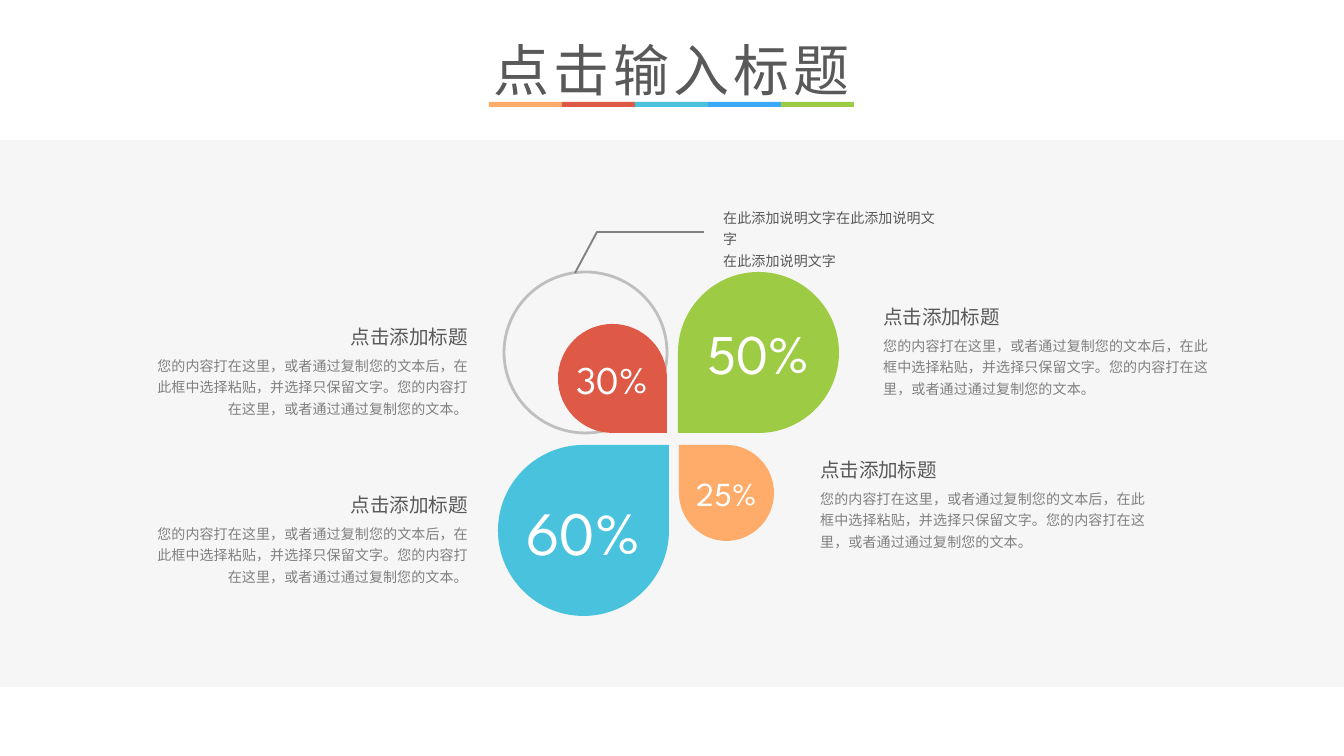
from dataclasses import dataclass

from lxml.etree import SubElement
from pptx import Presentation
from pptx.dml.color import RGBColor
from pptx.enum.shapes import MSO_SHAPE
from pptx.enum.text import MSO_ANCHOR, MSO_AUTO_SIZE, PP_ALIGN
from pptx.oxml.ns import qn
from pptx.util import Emu, Pt

PIXEL = 914400 / 134.4
ARC_HANDLE = 0.55
COLORS = {
    "orange": "FFAC6A", "red": "DF5947", "cyan": "49C2DD", "blue": "3BA9F8",
    "green": "9DCB43", "band": "F6F6F6", "ring": "BFBFBF", "gray": "808080",
    "dark": "595959", "white": "FFFFFF",
}
CHINESE = "Noto Sans CJK SC"
HEADING = "点击添加标题"
BODY = ("您的内容打在这里，或者通过复制您的文本后，在此框中选择粘贴，并选择只保留文字。"
        "您的内容打在这里，或者通过通过复制您的文本。")


@dataclass(frozen=True)
class Box:
    """A rectangle in pixels."""
    left: int
    top: int
    width: int
    height: int


@dataclass(frozen=True)
class TextStyle:
    """The look of one block of text."""
    size: float
    color: str
    font: str = CHINESE
    align: PP_ALIGN = PP_ALIGN.LEFT
    line_spacing: float = 1.0
    character_spacing: int = 0


@dataclass(frozen=True)
class Petal:
    """A drop whose corner points right or left (x) and down or up (y)."""
    label: str
    box: Box
    color: str
    size: float
    corner_x: int
    corner_y: int


@dataclass(frozen=True)
class Note:
    """A heading with body text, anchored at its inner edge."""
    edge: int
    top: int
    align: PP_ALIGN
    body_width: int


PETALS = [
    Petal("30%", Box(558, 324, 109, 109), "red", 21, 1, 1),
    Petal("50%", Box(678, 272, 161, 161), "green", 30, -1, 1),
    Petal("25%", Box(679, 445, 95, 96), "orange", 18, -1, -1),
    Petal("60%", Box(498, 445, 171, 171), "cyan", 33, 1, -1),
]
NOTES = [
    Note(807, 446, PP_ALIGN.LEFT, 362),
    Note(481, 313, PP_ALIGN.RIGHT, 343),
    Note(870, 293, PP_ALIGN.LEFT, 362),
    Note(481, 481, PP_ALIGN.RIGHT, 343),
]


def px(value: float) -> Emu:
    """Turn pixels into EMU."""
    return Emu(round(value * PIXEL))


def place(box: Box) -> tuple[Emu, ...]:
    """Give the box as left, top, width and height in EMU."""
    return px(box.left), px(box.top), px(box.width), px(box.height)


def color_of(name: str) -> RGBColor:
    """Look up a named colour."""
    return RGBColor.from_string(COLORS[name])


def paint(shape, fill: str | None = None, line: str | None = None, width: float = 1) -> None:
    """Set fill and outline and drop the shadow."""
    shape.shadow.inherit = False
    if fill:
        shape.fill.solid()
        shape.fill.fore_color.rgb = color_of(fill)
    else:
        shape.fill.background()
    if line:
        shape.line.color.rgb = color_of(line)
        shape.line.width = Pt(width)
    else:
        shape.line.fill.background()


def write(frame, lines: list[str], style: TextStyle) -> None:
    """Fill a text frame with one paragraph for each line."""
    for index, line in enumerate(lines):
        paragraph = frame.add_paragraph() if index else frame.paragraphs[0]
        paragraph.text = line
        paragraph.alignment = style.align
        paragraph.line_spacing = style.line_spacing
        paragraph.font.size = Pt(style.size)
        paragraph.font.color.rgb = color_of(style.color)
        paragraph.font.name = style.font
        properties = paragraph._p.get_or_add_pPr().find(qn("a:defRPr"))
        SubElement(properties, qn("a:ea")).set("typeface", style.font)
        if style.character_spacing:
            properties.set("spc", str(style.character_spacing))


def add_text(slide, box: Box, lines: list[str], style: TextStyle,
             wrap: bool = True, padding: int = 7) -> None:
    """Add a text box that grows with its text."""
    frame = slide.shapes.add_textbox(*place(box)).text_frame
    frame.word_wrap = wrap
    frame.auto_size = MSO_AUTO_SIZE.SHAPE_TO_FIT_TEXT
    frame.margin_top = frame.margin_bottom = px(padding)
    write(frame, lines, style)


def add_path(slide, points: list[tuple[float, float]], close: bool):
    """Add a freeform through pixel points."""
    first, *rest = [(px(x), px(y)) for x, y in points]
    builder = slide.shapes.build_freeform(*first, scale=1.0)
    builder.add_line_segments(rest, close=close)
    return builder.convert_to_shape()


def bend(shape, curve_count: int) -> None:
    """Merge each leading triple of line segments into one cubic curve."""
    segments = list(shape._element.iter(qn("a:lnTo")))
    for index in range(0, 3 * curve_count, 3):
        first, *others = segments[index:index + 3]
        first.tag = qn("a:cubicBezTo")
        for segment in others:
            first.append(segment[0])
            segment.getparent().remove(segment)


def add_petal(slide, petal: Petal) -> None:
    """Add a drop: three quarter arcs and one square corner."""
    box = petal.box
    radius_x, radius_y = box.width / 2, box.height / 2
    handle = ARC_HANDLE
    outline = [
        (0, 1), (-handle, 1), (-1, handle), (-1, 0), (-1, -handle), (-handle, -1),
        (0, -1), (handle, -1), (1, -handle), (1, 0), (1, 1),
    ]
    points = [(box.left + radius_x * (1 + petal.corner_x * x),
               box.top + radius_y * (1 + petal.corner_y * y)) for x, y in outline]
    shape = add_path(slide, points, close=True)
    bend(shape, 3)
    paint(shape, petal.color)
    frame = shape.text_frame
    frame.word_wrap = True
    frame.vertical_anchor = MSO_ANCHOR.MIDDLE
    frame.margin_left = frame.margin_right = px(9)
    frame.margin_top = frame.margin_bottom = px(5)
    write(frame, [petal.label], TextStyle(petal.size, "white", "League Spartan", PP_ALIGN.CENTER))


def add_note(slide, note: Note) -> None:
    """Add a heading and the body text below it."""
    def row(top: int, width: int, height: int) -> Box:
        """Align a row to the note's edge."""
        left = note.edge - width if note.align == PP_ALIGN.RIGHT else note.edge
        return Box(left, top, width, height)

    add_text(slide, row(note.top, 327, 36), [HEADING],
             TextStyle(10.5, "dark", align=note.align, line_spacing=1.5), padding=0)
    add_text(slide, row(note.top + 32, note.body_width, 79), [BODY],
             TextStyle(7.5, "gray", align=note.align, line_spacing=1.3))


def main() -> None:
    """Build and save the slide."""
    presentation = Presentation()
    presentation.slide_width, presentation.slide_height = px(1344), px(756)
    slide = presentation.slides.add_slide(presentation.slide_layouts[6])
    for index, color in enumerate(["orange", "red", "cyan", "blue", "green"]):
        stripe = Box(489 + 73 * index, 102, 73, 5)
        paint(slide.shapes.add_shape(MSO_SHAPE.RECTANGLE, *place(stripe)), color)
    band = slide.shapes.add_shape(MSO_SHAPE.RECTANGLE, *place(Box(0, 140, 1344, 547)))
    paint(band, "band")
    add_text(slide, Box(476, 29, 392, 82), ["点击输入标题"],
             TextStyle(30, "dark", "Noto Sans CJK JP", PP_ALIGN.CENTER, character_spacing=220),
             wrap=False)
    ring = slide.shapes.add_shape(MSO_SHAPE.OVAL, *place(Box(504, 272, 163, 161)))
    paint(ring, line="ring", width=1.5)
    for petal in PETALS:
        add_petal(slide, petal)
    for note in NOTES:
        add_note(slide, note)
    leader = add_path(slide, [(575, 273), (597, 232), (704, 232)], close=False)
    paint(leader, line="gray")
    add_text(slide, Box(710, 197, 250, 79),
             ["在此添加说明文字在此添加说明文字", "在此添加说明文字"],
             TextStyle(7.5, "dark", line_spacing=1.3))
    presentation.save("out.pptx")


main()
